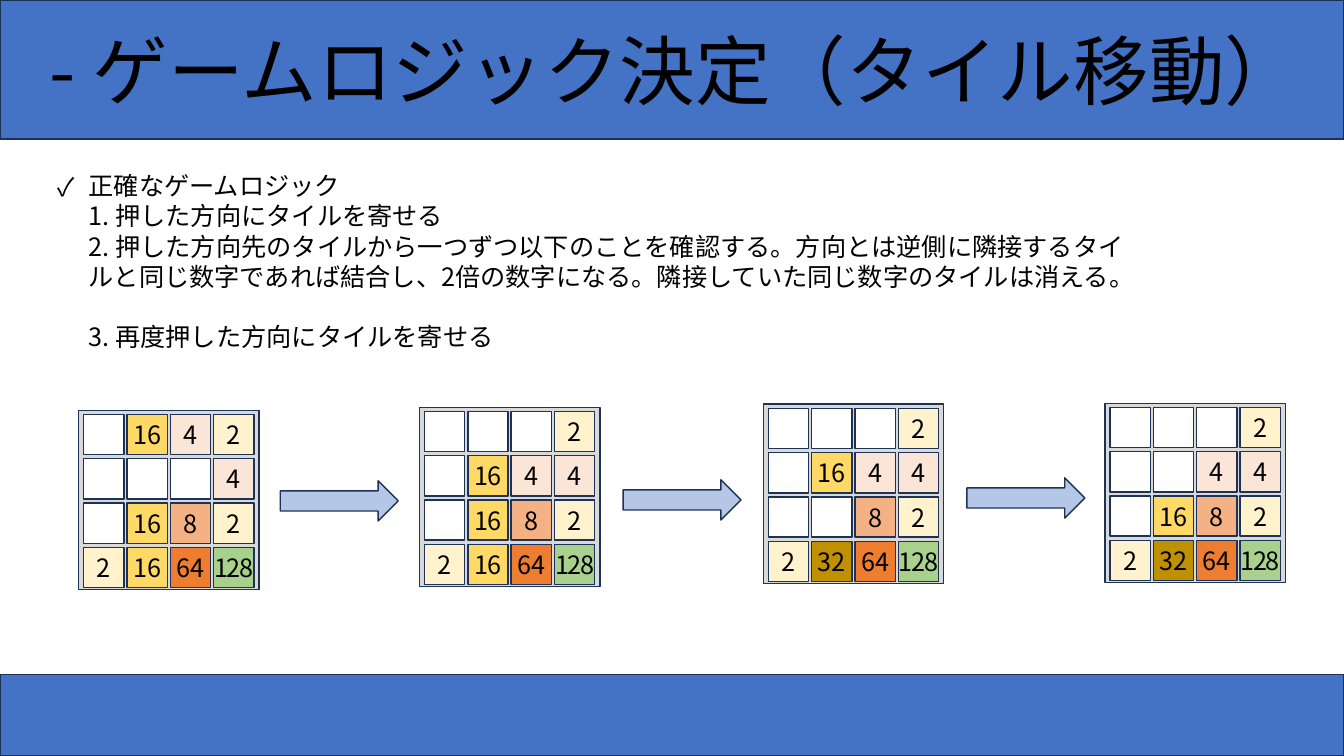
import pptx
import pptx.dml.color
import pptx.enum.shapes
import pptx.enum.text
import pptx.oxml
import pptx.oxml.ns
import pptx.util
from pptx.util import Inches

FONT = "Noto Sans CJK JP"
BAND, OUTLINE, BOARD, ARROW, BLACK = "4472C4", "1E3256", "D9D9D9", "B4C7E7", "000000"
TILE_COLOURS = {
    0: "FFFFFF", 2: "FFF2CC", 4: "FBE5D6", 8: "F4B183",
    16: "FFD966", 32: "BF9000", 64: "ED7D31", 128: "A9D18E",
}
TILE_SIZE, COLUMN_STEP, ROW_STEP = 0.4, 0.43, 0.44
BOARDS = [
    (0.78, 4.07, [[0, 16, 4, 2], [0, 0, 0, 4], [0, 16, 8, 2], [2, 16, 64, 128]]),
    (4.16, 4.04, [[0, 0, 0, 2], [0, 16, 4, 4], [0, 16, 8, 2], [2, 16, 64, 128]]),
    (7.57, 4.01, [[0, 0, 0, 2], [0, 16, 4, 4], [0, 0, 8, 2], [2, 32, 64, 128]]),
    (10.96, 4.0, [[0, 0, 0, 2], [0, 0, 4, 4], [0, 16, 8, 2], [2, 32, 64, 128]]),
]
ARROWS = [(2.78, 4.77), (6.18, 4.76), (9.59, 4.74)]
TITLE = "- ゲームロジック決定（タイル移動）"
STEPS = [
    "正確なゲームロジック",
    "1. 押した方向にタイルを寄せる",
    "2. 押した方向先のタイルから一つずつ以下のことを確認する。方向とは逆側に隣接するタイル"
    "と同じ数字であれば結合し、2倍の数字になる。隣接していた同じ数字のタイルは消える。",
    "3. 再度押した方向にタイルを寄せる",
]


def colour(value):
    """Turn a hex string into a colour."""
    return pptx.dml.color.RGBColor.from_string(value)


def add_xml(parent, tag, **attributes):
    """Append a drawing element with the given attributes."""
    element = pptx.oxml.parse_xml(f"<a:{tag} {pptx.oxml.ns.nsdecls('a')}/>")
    for name, value in attributes.items():
        element.set(name, value)
    parent.append(element)


def set_font(paragraph, size):
    """Set the Latin and East Asian font, size and colour of a paragraph."""
    paragraph.font.size = pptx.util.Pt(size)
    paragraph.font.color.rgb = colour(BLACK)
    paragraph.font.name = FONT
    add_xml(paragraph.font._element, "ea", typeface=FONT)


def place(shape, left, top, width, height):
    """Move and size a placeholder."""
    shape.left, shape.top = Inches(left), Inches(top)
    shape.width, shape.height = Inches(width), Inches(height)


def paint(shape, fill):
    """Give a shape its fill and the common outline."""
    shape.fill.solid()
    shape.fill.fore_color.rgb = colour(fill)
    shape.line.color.rgb = colour(OUTLINE)
    shape.line.width = pptx.util.Pt(1)


def add_block(slide, left, top, width, height, fill, kind="RECTANGLE"):
    """Add a filled and outlined preset shape."""
    shape = slide.shapes.add_shape(
        pptx.enum.shapes.MSO_SHAPE[kind],
        Inches(left), Inches(top), Inches(width), Inches(height))
    shape.shadow.inherit = False
    paint(shape, fill)
    return shape


def add_tile(slide, left, top, number):
    """Add one tile, blank when its number is zero."""
    tile = add_block(slide, left, top, TILE_SIZE, TILE_SIZE, TILE_COLOURS[number])
    if not number:
        return
    frame = tile.text_frame
    frame.margin_left = frame.margin_right = frame.margin_top = frame.margin_bottom = 0
    frame.word_wrap = False
    frame.vertical_anchor = pptx.enum.text.MSO_ANCHOR.MIDDLE
    paragraph = frame.paragraphs[0]
    paragraph.text = str(number)
    paragraph.alignment = pptx.enum.text.PP_ALIGN.CENTER
    set_font(paragraph, 18)
    if number >= 100:
        paragraph.runs[0].font._element.set("spc", "-100")


def add_board(slide, left, top, rows):
    """Add a board with its grid of tiles."""
    add_block(slide, left, top, 1.79, 1.78, BOARD)
    for row, numbers in enumerate(rows):
        for column, number in enumerate(numbers):
            add_tile(slide, left + 0.05 + column * COLUMN_STEP,
                     top + 0.04 + row * ROW_STEP, number)


def fill_title(title):
    """Format the title as the top band."""
    place(title, 0, 0, 13.33, 1.38)
    paint(title, BAND)
    frame = title.text_frame
    frame.text = TITLE
    frame.word_wrap = True
    frame.auto_size = pptx.enum.text.MSO_AUTO_SIZE.NONE
    frame.vertical_anchor = pptx.enum.text.MSO_ANCHOR.MIDDLE
    paragraph = frame.paragraphs[0]
    paragraph.alignment = pptx.enum.text.PP_ALIGN.LEFT
    paragraph._p.get_or_add_pPr().set("indent", str(Inches(0.39)))
    set_font(paragraph, 54)


def fill_steps(body):
    """Write the game logic as one ticked item with line breaks."""
    place(body, 0.47, 1.64, 10.83, 1.62)
    frame = body.text_frame
    frame.word_wrap = True
    frame.auto_size = pptx.enum.text.MSO_AUTO_SIZE.SHAPE_TO_FIT_TEXT
    frame.vertical_anchor = pptx.enum.text.MSO_ANCHOR.TOP
    paragraph = frame.paragraphs[0]
    paragraph.text = "\v".join(STEPS)
    properties = paragraph._p.get_or_add_pPr()
    properties.set("marL", str(Inches(0.31)))
    properties.set("indent", str(Inches(-0.31)))
    add_xml(properties, "buFont", typeface=FONT)
    add_xml(properties, "buChar", char="✓")
    paragraph.space_before = pptx.util.Pt(0)
    paragraph.line_spacing = pptx.util.Pt(21.6)
    set_font(paragraph, 18)


def main():
    """Build the slide and save it."""
    presentation = pptx.Presentation()
    presentation.slide_width, presentation.slide_height = Inches(13.33), Inches(7.5)
    slide = presentation.slides.add_slide(presentation.slide_layouts[1])
    fill_title(slide.shapes.title)
    add_block(slide, 0, 6.69, 13.33, 0.81, BAND)
    fill_steps(slide.placeholders[1])
    for left, top, rows in BOARDS:
        add_board(slide, left, top, rows)
    for left, top in ARROWS:
        add_block(slide, left, top, 1.17, 0.4, ARROW, "RIGHT_ARROW")
    presentation.save("out.pptx")


if __name__ == "__main__":
    main()
